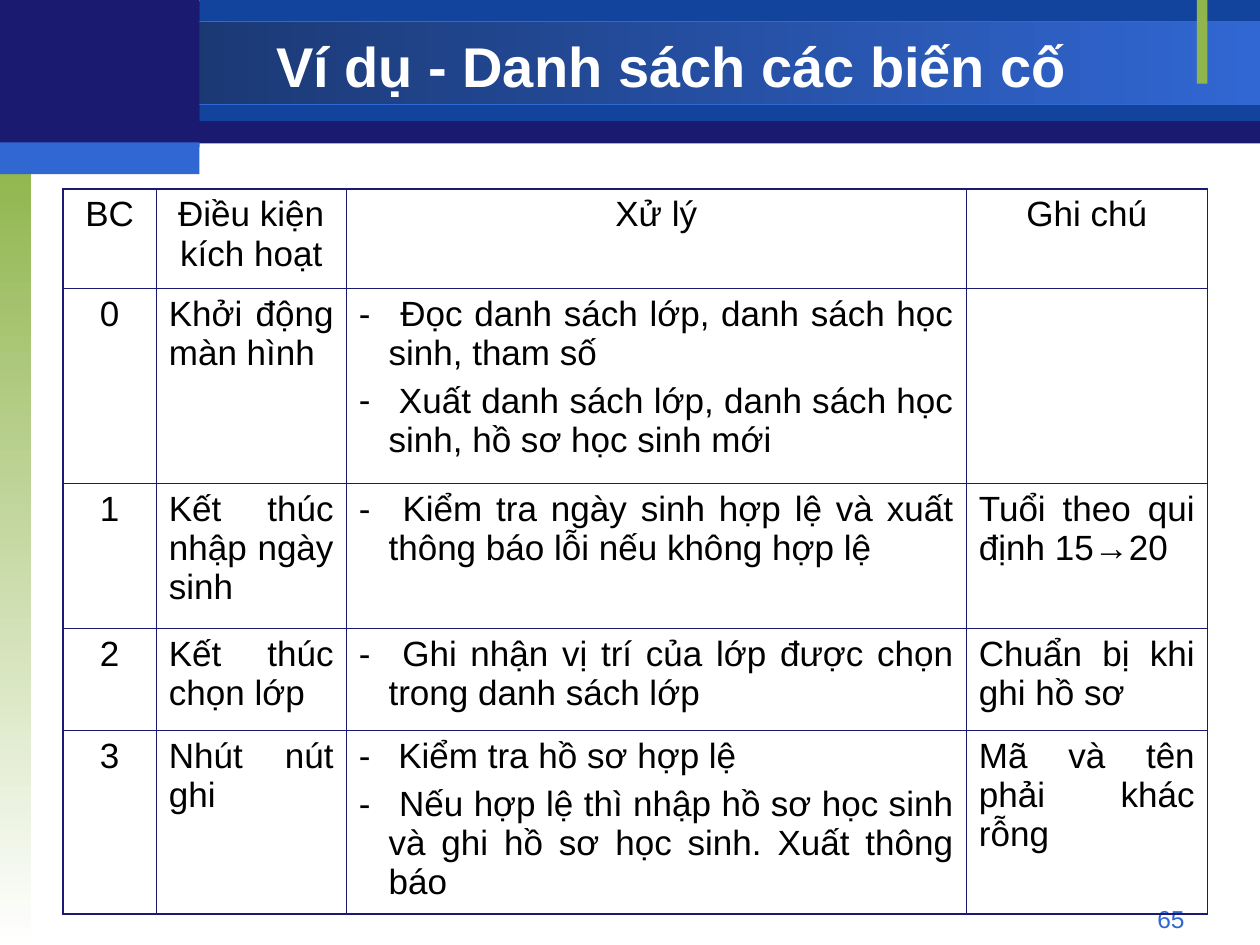
import lxml.etree
import pptx
import pptx.dml.color
import pptx.enum.shapes
import pptx.enum.text
import pptx.oxml.ns
import pptx.util

Cm = pptx.util.Cm
Pt = pptx.util.Pt
RGBColor = pptx.dml.color.RGBColor
Align = pptx.enum.text.PP_ALIGN
Anchor = pptx.enum.text.MSO_ANCHOR
qn = pptx.oxml.ns.qn

NAVY = RGBColor(0x1A, 0x1A, 0x70)
BLUE = RGBColor(0x12, 0x44, 0x9E)
DARK = RGBColor(0x17, 0x30, 0x62)
SKY = RGBColor(0x31, 0x67, 0xD3)
GREEN = RGBColor(0x90, 0xB5, 0x4D)
WHITE = RGBColor(0xFF, 0xFF, 0xFF)
BLACK = RGBColor(0, 0, 0)


def style(para, size, color, align, bold=False):
    para.alignment = align
    font = para.font
    font.name = "Arial"
    font.size = Pt(size)
    font.bold = bold
    font.color.rgb = color


def border(cell, sides):
    props = cell._tc.get_or_add_tcPr()
    for i, (side, width) in enumerate(sides):
        line = lxml.etree.Element(qn("a:ln" + side), w=str(Pt(width)))
        solid = lxml.etree.SubElement(line, qn("a:solidFill"))
        lxml.etree.SubElement(solid, qn("a:srgbClr"), val=str(NAVY))
        props.insert(i, line)


deck = pptx.Presentation()
deck.slide_width = Cm(25.4)
deck.slide_height = Cm(19.05)
slide = deck.slides.add_slide(deck.slide_layouts[6])

bars = [
    (0, 0.03, 25.4, 2.86, [NAVY], 0, None),
    (4.02, 0, 21.38, 2.44, [BLUE], 0, None),
    (0, 0.43, 25.4, 1.68, [DARK, SKY], 0, SKY),
    (0, 3.18, 0.63, 15.87, [GREEN, WHITE], 270, None),
    (24.13, 0, 0.21, 1.69, [GREEN], 0, None),
    (0, 0, 4.02, 2.97, [NAVY], 0, None),
    (0, 2.87, 4.02, 0.64, [SKY], 0, None),
]
for left, top, width, height, colors, angle, edge in bars:
    bar = slide.shapes.add_shape(
        pptx.enum.shapes.MSO_SHAPE.RECTANGLE, Cm(left), Cm(top), Cm(width), Cm(height)
    )
    bar.shadow.inherit = False
    if len(colors) > 1:
        bar.fill.gradient()
        bar.fill.gradient_angle = angle
        for stop, color in zip(bar.fill.gradient_stops, colors):
            stop.color.rgb = color
    else:
        bar.fill.solid()
        bar.fill.fore_color.rgb = colors[0]
    if edge:
        bar.line.color.rgb = edge
        bar.line.width = Pt(0.75)
    else:
        bar.line.fill.background()

labels = [
    (18.2, 18.1, 5.93, 0.7, "65", 14, SKY, Align.RIGHT, False, Anchor.TOP),
    (4.02, 0.58, 19.05, 1.48, "Ví dụ - Danh sách các biến cố", 32, WHITE,
     Align.CENTER, True, Anchor.MIDDLE),
]
for left, top, width, height, text, size, color, align, bold, anchor in labels:
    frame = slide.shapes.add_textbox(Cm(left), Cm(top), Cm(width), Cm(height)).text_frame
    frame.word_wrap = True
    frame.vertical_anchor = anchor
    frame.text = text
    style(frame.paragraphs[0], size, color, align, bold)

rows = [
    ("BC", "Điều kiện kích hoạt", "Xử lý", "Ghi chú"),
    ("0", "Khởi động màn hình",
     " Đọc danh sách lớp, danh sách học sinh, tham số\n"
     " Xuất danh sách lớp, danh sách học sinh, hồ sơ học sinh mới", ""),
    ("1", "Kết thúc nhập ngày sinh",
     " Kiểm tra ngày sinh hợp lệ và xuất thông báo lỗi nếu không hợp lệ",
     "Tuổi theo qui định 15→20"),
    ("2", "Kết thúc chọn lớp",
     " Ghi nhận vị trí của lớp được chọn trong danh sách lớp",
     "Chuẩn bị khi ghi hồ sơ"),
    ("3", "Nhút nút ghi",
     " Kiểm tra hồ sơ hợp lệ\n"
     " Nếu hợp lệ thì nhập hồ sơ học sinh và ghi hồ sơ học sinh. Xuất thông báo",
     "Mã và tên phải khác rỗng"),
]
widths = [1.88, 3.83, 12.5, 4.86]
heights = [2, 3.94, 2.92, 2.06, 3.57]
table = slide.shapes.add_table(
    len(rows), len(widths), Cm(1.27), Cm(3.81), Cm(sum(widths)), Cm(sum(heights))
).table
table.first_row = False
table.horz_banding = False
for col, width in zip(table.columns, widths):
    col.width = Cm(width)
for row, height in zip(table.rows, heights):
    row.height = Cm(height)

for r, row in enumerate(rows):
    for c, text in enumerate(row):
        cell = table.cell(r, c)
        cell.fill.background()
        cell.margin_bottom = Cm(0)
        cell.text = text
        edges = [("L", c == 0), ("R", c == len(row) - 1),
                 ("T", r == 0), ("B", r == len(rows) - 1)]
        border(cell, [(side, 1.08 if outer else 0.45) for side, outer in edges])
        for n, para in enumerate(cell.text_frame.paragraphs):
            if n:
                para.space_before = Pt(5)
            if r and c == 2:
                props = para._p.get_or_add_pPr()
                props.set("marL", str(Cm(0.6)))
                props.set("indent", str(-Cm(0.6)))
                tint = lxml.etree.SubElement(props, qn("a:buClr"))
                lxml.etree.SubElement(tint, qn("a:srgbClr"), val=str(BLACK))
                lxml.etree.SubElement(props, qn("a:buSzPct"), val="100000")
                lxml.etree.SubElement(props, qn("a:buFont"), typeface="Arial")
                lxml.etree.SubElement(props, qn("a:buChar"), char="-")
            style(para, 20, BLACK, Align.JUSTIFY if r and c else Align.CENTER)

deck.save("out.pptx")
